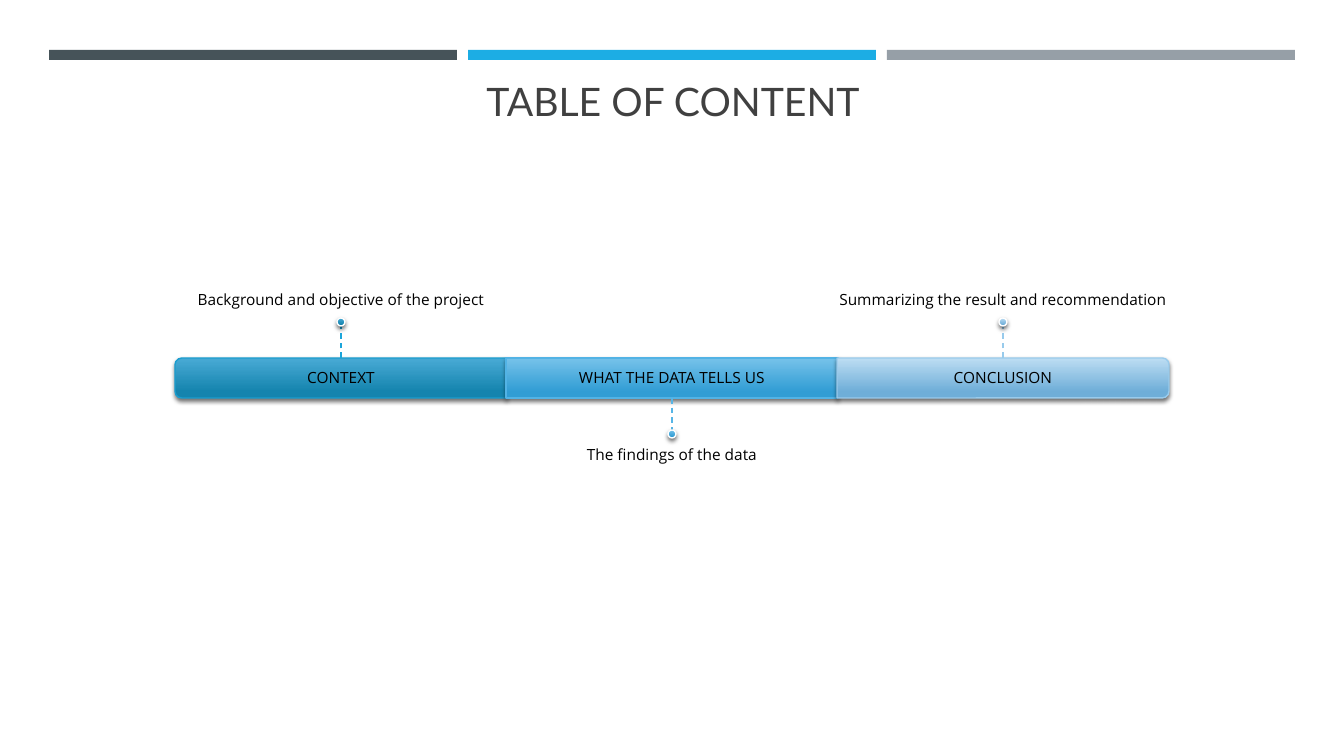
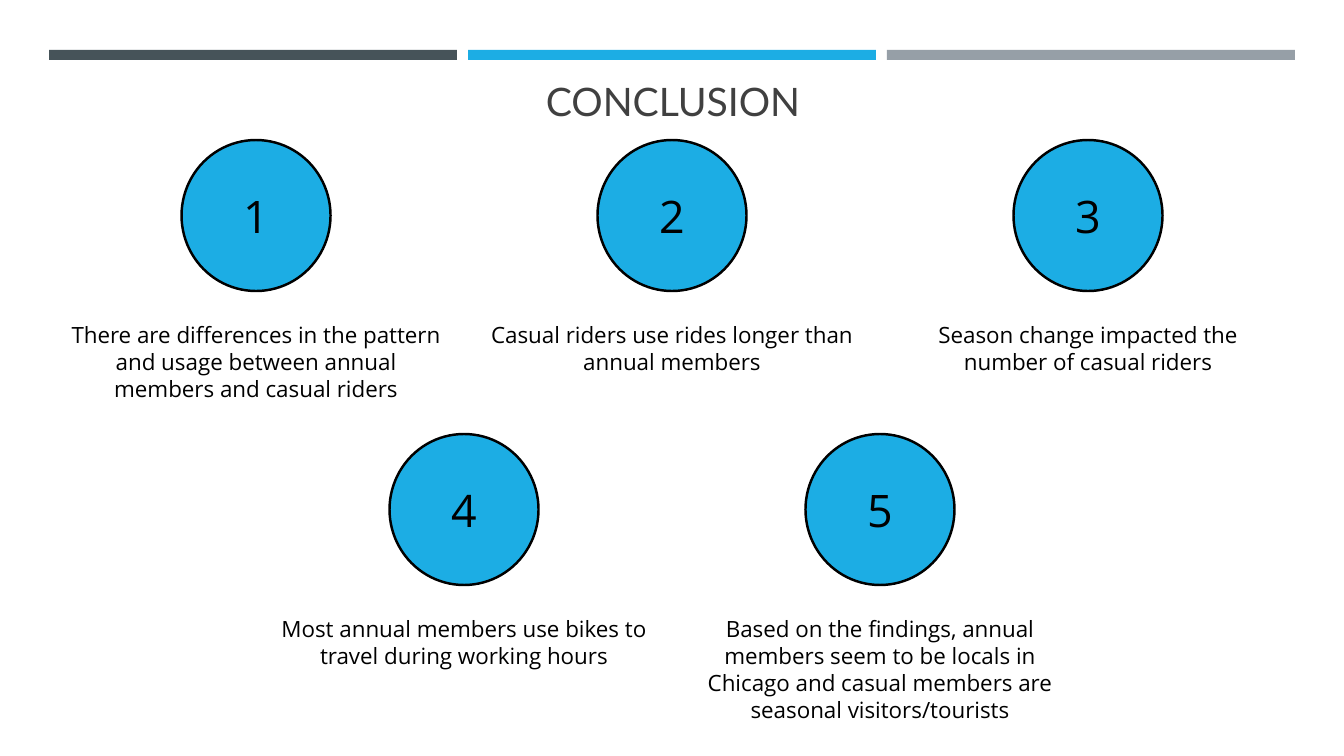
from dataclasses import dataclass

from lxml import etree
from pptx import Presentation
from pptx.dml.color import RGBColor
from pptx.enum.dml import MSO_LINE
from pptx.enum.shapes import MSO_CONNECTOR, MSO_SHAPE
from pptx.enum.text import MSO_ANCHOR, MSO_AUTO_SIZE, PP_ALIGN
from pptx.oxml import parse_xml
from pptx.oxml.ns import qn
from pptx.util import Pt

RECT, OVAL, ROUND_TOP = MSO_SHAPE.RECTANGLE, MSO_SHAPE.OVAL, MSO_SHAPE.ROUND_2_SAME_RECTANGLE
STRAIGHT, DASH = MSO_CONNECTOR.STRAIGHT, MSO_LINE.DASH
TOP, MIDDLE, BOTTOM = MSO_ANCHOR.TOP, MSO_ANCHOR.MIDDLE, MSO_ANCHOR.BOTTOM
CENTER, NO_AUTOFIT = PP_ALIGN.CENTER, MSO_AUTO_SIZE.NONE
DRAWING_NS = "http://schemas.openxmlformats.org/drawingml/2006/main"


@dataclass(frozen=True)
class Theme:
    """Fonts, colours and type sizes shared by the slides."""
    title_font: str = "Lato"
    body_font: str = "Open Sans"
    title_color: str = "404040"
    ink: str = "000000"
    white: str = "FFFFFF"
    accent: str = "1CADE4"
    bands: tuple = ("465359", "1CADE4", "969FA7")
    title_size: int = 28
    agenda_size: int = 11
    finding_size: int = 16
    number_size: int = 32


THEME = Theme()


def px(*lengths):
    """Turn whole pixels (100.8 to the inch) into EMU."""
    return [round(length * 914400 / 100.8) for length in lengths]


def set_text(frame, text, size, anchor, insets, spacing=None):
    """Write one centred paragraph; insets are left, top, right, bottom pixels."""
    frame.text = text
    frame.word_wrap = True
    frame.vertical_anchor = anchor
    frame.margin_left, frame.margin_top, frame.margin_right, frame.margin_bottom = px(*insets)
    paragraph = frame.paragraphs[0]
    paragraph.alignment = CENTER
    paragraph.line_spacing = spacing
    font = paragraph.runs[0].font
    font.name, font.size = THEME.body_font, Pt(size)
    font.color.rgb = RGBColor.from_string(THEME.ink)


deck = Presentation()
deck.slide_width, deck.slide_height = px(1344, 756)

# Shared layout: title style and three bands
layout = deck.slide_layouts[5]
layout_title = layout.placeholders[0]
layout_title.left, layout_title.top, layout_title.width, layout_title.height = px(65, 67, 1216, 62)
layout_title.text_frame.vertical_anchor = BOTTOM
layout_title.text_frame.auto_size = NO_AUTOFIT
title_style = parse_xml(
    f'<a:lstStyle xmlns:a="{DRAWING_NS}"><a:lvl1pPr algn="ctr">'
    f'<a:defRPr sz="{THEME.title_size * 100}"><a:solidFill><a:srgbClr val="{THEME.title_color}"/>'
    f'</a:solidFill><a:latin typeface="{THEME.title_font}"/></a:defRPr></a:lvl1pPr></a:lstStyle>')
title_body = layout_title.text_frame._txBody
title_body.replace(title_body.find(qn("a:lstStyle")), title_style)

agenda = deck.slides.add_slide(layout)
agenda.shapes.title.text_frame.text = "TABLE OF CONTENT"
conclusion = deck.slides.add_slide(layout)
conclusion.shapes.title.text_frame.text = "CONCLUSION"

for column, color in enumerate(THEME.bands):
    band = agenda.shapes.add_shape(RECT, *px(49 + 419 * column, 50, 408, 10))
    band.shadow.inherit = False
    band.fill.solid()
    band.fill.fore_color.rgb = RGBColor.from_string(color)
    band.line.fill.background()
    layout.shapes.element.append(band.element)

# Table of content: a bar of three sections, each with a callout
BAR_Y, BAR_HEIGHT, SECTION_WIDTH, SECTION_PITCH = 378, 40, 332, 331
STEM, DOT, CALLOUT_WIDTH, CALLOUT_HEIGHT = 32, 8, 552, 140
# section, callout, side (-1 above, 1 below), outline, rotation, gradient, border, stem
sections = [
    ("CONTEXT", "Background and objective of the project", -1,
     ROUND_TOP, 270, ("48AAD5", "1584AE"), "199DCF", "1BA5DA"),
    ("WHAT THE DATA TELLS US", "The findings of the data", 1,
     RECT, 0, ("76C2EA", "319DD4"), "52B3E5", "57B5E6"),
    ("CONCLUSION", "Summarizing the result and recommendation", -1,
     ROUND_TOP, 90, ("BDDDF3", "6FAED8"), "99CBEC", "98CBEC"),
]
for column, (name, summary, side, outline, turn, gradient, border, stem_color) in enumerate(sections):
    center = 341 + SECTION_PITCH * column
    # A quarter turn swaps the drawn width and height
    width, height = (BAR_HEIGHT, SECTION_WIDTH) if turn else (SECTION_WIDTH, BAR_HEIGHT)
    section = agenda.shapes.add_shape(
        outline, *px(center - width / 2, BAR_Y - height / 2, width, height))
    section.rotation = turn

    stem_start = BAR_Y + side * BAR_HEIGHT / 2
    stem_end = stem_start + side * STEM
    stem = agenda.shapes.add_connector(STRAIGHT, *px(center, stem_start, center, stem_end))
    stem.line.color.rgb = RGBColor.from_string(stem_color)
    stem.line.width = Pt(1)
    stem.line.dash_style = DASH
    etree.SubElement(stem.element.spPr, qn("a:effectLst"))

    dot_center = stem_end + side * DOT / 2
    dot = agenda.shapes.add_shape(OVAL, *px(center - DOT / 2, dot_center - DOT / 2, DOT, DOT))

    for part, line_color in ((section, border), (dot, THEME.white)):
        part.fill.gradient()
        part.fill.gradient_angle = 270
        for stop, position, color in zip(part.fill.gradient_stops, (0, 0.84), gradient):
            stop.position = position
            stop.color.rgb = RGBColor.from_string(color)
        properties = part.element.spPr
        properties.find(qn("a:gradFill")).set("rotWithShape", "0")
        part.line.color.rgb = RGBColor.from_string(line_color)
        part.line.width = Pt(1)
        part.shadow.inherit = False
        properties.find(qn("a:effectLst")).append(parse_xml(
            f'<a:outerShdw xmlns:a="{DRAWING_NS}" blurRad="38100" dist="25400" dir="5400000" '
            f'rotWithShape="0"><a:srgbClr val="{THEME.ink}"><a:alpha val="55000"/>'
            '</a:srgbClr></a:outerShdw>'))

    label = agenda.shapes.add_textbox(
        *px(center - SECTION_WIDTH / 2, BAR_Y - BAR_HEIGHT / 2, SECTION_WIDTH, BAR_HEIGHT))
    set_text(label.text_frame, name, THEME.agenda_size, MIDDLE, (9, 9, 9, 9), 0.9)

    callout_top = BAR_Y + side * 130 - CALLOUT_HEIGHT / 2
    callout = agenda.shapes.add_textbox(
        *px(center - CALLOUT_WIDTH / 2, callout_top, CALLOUT_WIDTH, CALLOUT_HEIGHT))
    anchor, insets = (BOTTOM, (0, 0, 0, 9)) if side < 0 else (TOP, (0, 9, 0, 0))
    set_text(callout.text_frame, summary, THEME.agenda_size, anchor, insets, 0.9)

# Conclusion: numbered circles, three above two, each row centred
CIRCLE_WIDTH, CIRCLE_HEIGHT, FINDING_WIDTH = 149, 151, 391
COLUMN_PITCH, ROW_PITCH = 416, 294
# finding, height of its text
finding_rows = [
    [("There are differences in the pattern and usage between annual members and casual riders", 142),
     ("Casual riders use rides longer than annual members", 115),
     ("Season change impacted the number of casual riders", 115)],
    [("Most annual members use bikes to travel during working hours", 115),
     ("Based on the findings, annual members seem to be locals in Chicago and casual members "
      "are seasonal visitors/tourists", 169)],
]
number = 0
for row, findings in enumerate(finding_rows):
    top = 140 + ROW_PITCH * row
    for column, (finding, height) in enumerate(findings):
        number += 1
        center = 672 + COLUMN_PITCH * (column - (len(findings) - 1) / 2)
        circle = conclusion.shapes.add_shape(
            OVAL, *px(center - CIRCLE_WIDTH / 2, top, CIRCLE_WIDTH, CIRCLE_HEIGHT))
        circle.shadow.inherit = False
        circle.fill.solid()
        circle.fill.fore_color.rgb = RGBColor.from_string(THEME.accent)
        circle.line.color.rgb = RGBColor.from_string(THEME.ink)
        circle.line.width = Pt(1.75)
        set_text(circle.text_frame, str(number), THEME.number_size, MIDDLE, (10, 5, 10, 5))

        statement = conclusion.shapes.add_textbox(
            *px(center - FINDING_WIDTH / 2, top + CIRCLE_HEIGHT, FINDING_WIDTH, height))
        set_text(statement.text_frame, finding, THEME.finding_size, TOP, (10, 30, 10, 5), Pt(19.3))

deck.save("out.pptx")
